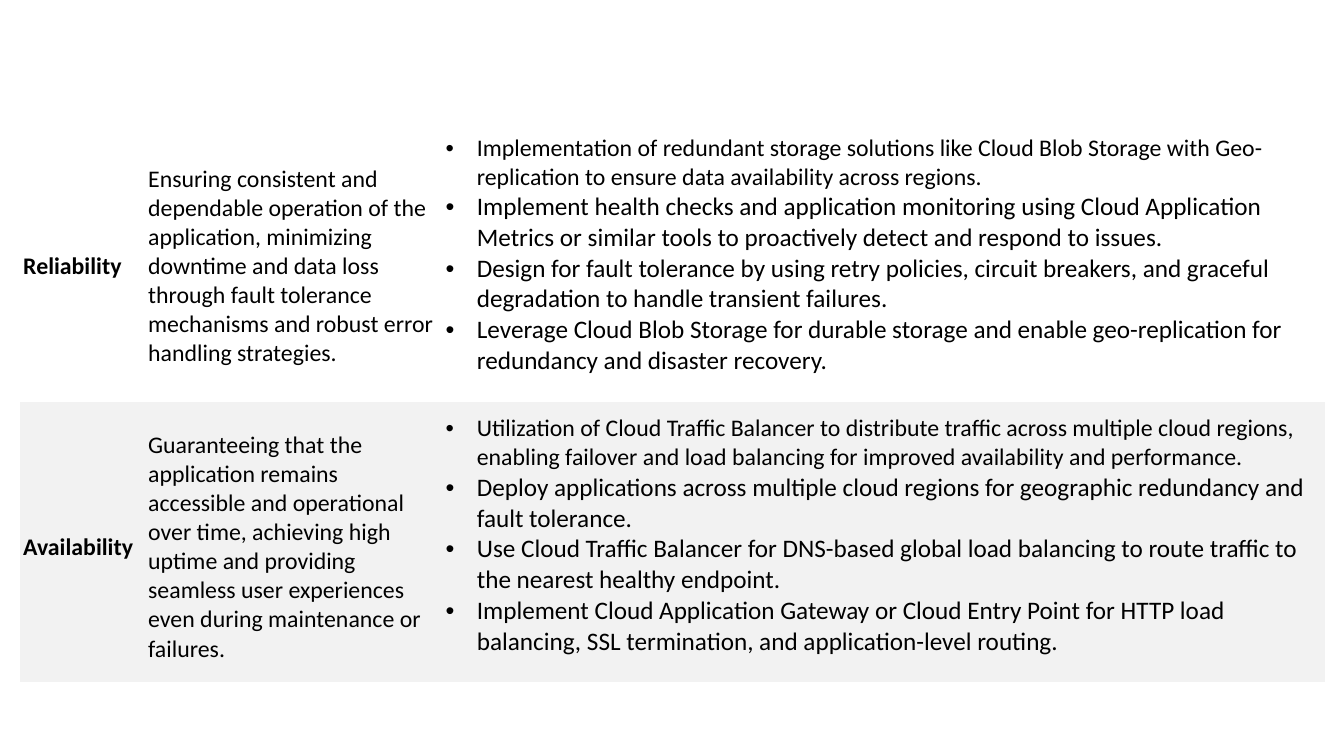
from pptx import Presentation
from pptx.dml.color import RGBColor as RGB
from pptx.enum.text import MSO_ANCHOR as ANCHOR
from pptx.oxml.ns import qn
from pptx.util import Inches, Pt
from lxml.etree import SubElement

COLORS = {"text": "000000", "band": "F2F2F2"}
NO_GRID = "{2D5ABB26-0587-4C30-8999-92F81FD0307C}"
CELL = {
    "vertical_anchor": ANCHOR.MIDDLE,
    "margin_left": Inches(0.03),
    "margin_top": Inches(0.12),
    "margin_right": Inches(0.03),
    "margin_bottom": Inches(0.02),
}
LIST_CELL = {"margin_bottom": Inches(0.25)}
TABLE = {"first_row": False, "horz_banding": False}
COLUMNS = [1.24, 2.95, 8.75]
QUALITIES = [
    ("Reliability",
     "Ensuring consistent and dependable operation of the application, minimizing downtime "
     "and data loss through fault tolerance mechanisms and robust error handling strategies.",
     ["Implementation of redundant storage solutions like Cloud Blob Storage with "
      "Geo-replication to ensure data availability across regions.",
      "Implement health checks and application monitoring using Cloud Application Metrics "
      "or similar tools to proactively detect and respond to issues.",
      "Design for fault tolerance by using retry policies, circuit breakers, and graceful "
      "degradation to handle transient failures.",
      "Leverage Cloud Blob Storage for durable storage and enable geo-replication for "
      "redundancy and disaster recovery."]),
    ("Availability",
     "Guaranteeing that the application remains accessible and operational over time, "
     "achieving high uptime and providing seamless user experiences even during "
     "maintenance or failures.",
     ["Utilization of Cloud Traffic Balancer to distribute traffic across multiple cloud "
      "regions, enabling failover and load balancing for improved availability and performance.",
      "Deploy applications across multiple cloud regions for geographic redundancy and "
      "fault tolerance.",
      "Use Cloud Traffic Balancer for DNS-based global load balancing to route traffic to "
      "the nearest healthy endpoint.",
      "Implement Cloud Application Gateway or Cloud Entry Point for HTTP load balancing, "
      "SSL termination, and application-level routing."]),
]


class Deck:
    """Holds the text style and the current slide, and adds elements to it."""

    def __init__(self, prs, font="Calibri", size=17):
        self.s = prs.slides.add_slide(prs.slide_layouts[6])
        self.font, self.size = font, size

    def apply(self, obj, values):
        for name, value in values.items():
            setattr(obj, name, value)

    def bullet(self, p):
        pPr = p._p.get_or_add_pPr()
        indent = Inches(0.31)
        pPr.set("marL", str(indent))
        pPr.set("indent", str(-indent))
        color = SubElement(pPr, qn("a:buClr"))
        SubElement(color, qn("a:srgbClr"), val=COLORS["text"])
        SubElement(pPr, qn("a:buFont"), typeface="Arial")
        SubElement(pPr, qn("a:buChar"), char="•")

    def text(self, p, text, **values):
        r = p.add_run()
        r.text = text
        self.apply(r.font, {"name": self.font, "size": Pt(self.size), "bold": False, **values})
        r.font.color.rgb = RGB.from_string(COLORS["text"])

    def bullets(self, tf, items):
        for i, item in enumerate(items):
            p = tf.add_paragraph() if i else tf.paragraphs[0]
            self.bullet(p)
            self.text(p, item, size=Pt(self.size + (i > 0)))

    def table(self, rows, widths, left, top, height):
        frame = self.s.shapes.add_table(len(rows), len(widths), Inches(left), Inches(top),
                                        Inches(sum(widths)), Inches(height))
        tbl = frame.table
        self.apply(tbl, TABLE)
        tbl._tbl.tblPr.find(qn("a:tableStyleId")).text = NO_GRID
        for column, width in zip(tbl.columns, widths):
            column.width = Inches(width)
        for i, (name, meaning, actions) in enumerate(rows):
            cells = list(tbl.rows[i].cells)
            for cell in cells:
                self.apply(cell, CELL)
                if i % 2:
                    cell.fill.solid()
                    cell.fill.fore_color.rgb = RGB.from_string(COLORS["band"])
                else:
                    cell.fill.background()
            self.apply(cells[-1], LIST_CELL)
            label, summary, steps = [cell.text_frame for cell in cells]
            self.text(label.paragraphs[0], name, bold=True)
            self.text(summary.paragraphs[0], meaning)
            self.bullets(steps, actions)


def main():
    prs = Presentation()
    prs.slide_width, prs.slide_height = Inches(13.33), Inches(7.5)
    Deck(prs).table(QUALITIES, COLUMNS, left=0.2, top=1.2, height=5.57)
    prs.save("out.pptx")


if __name__ == "__main__":
    main()
